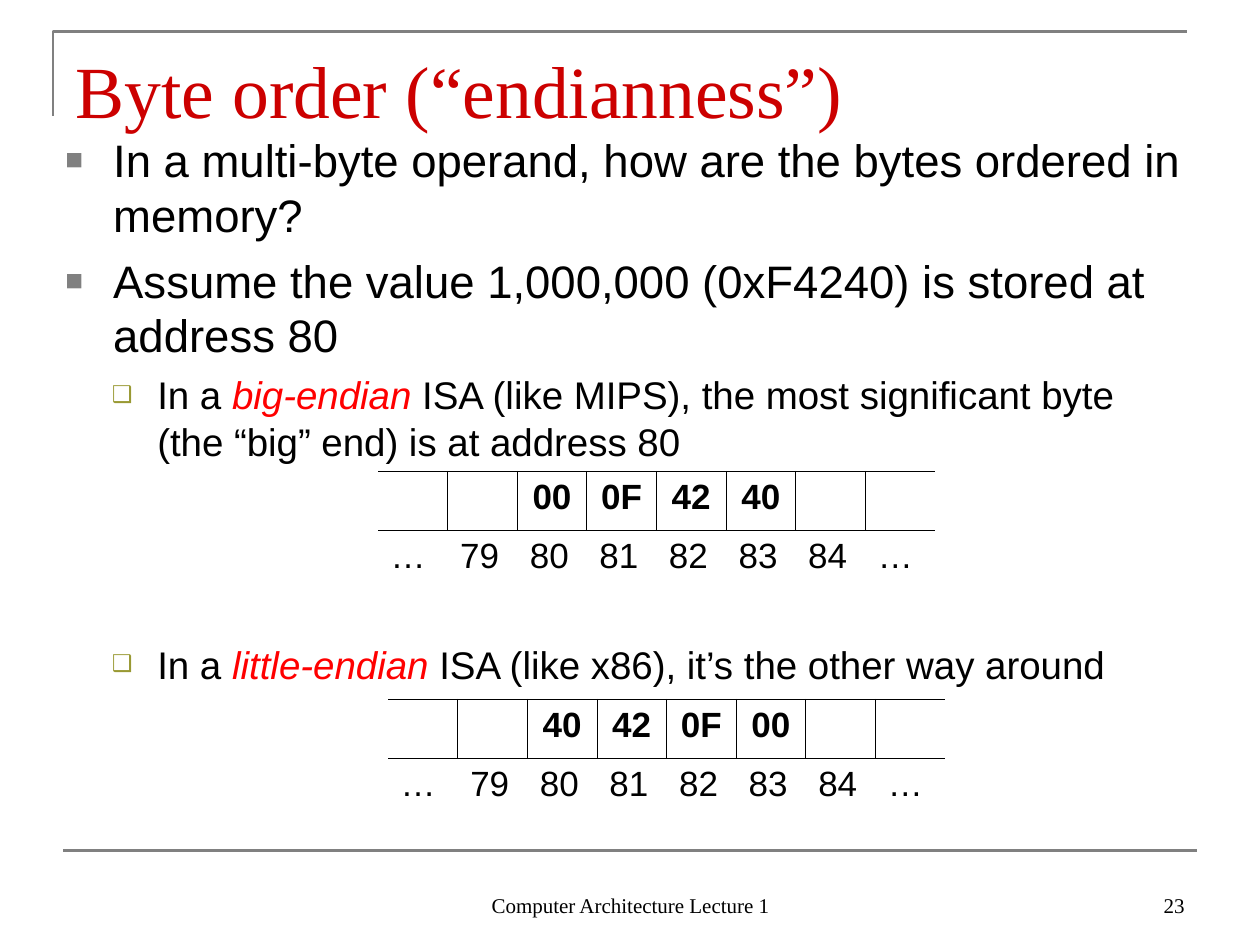
from lxml.etree import SubElement
from pptx import Presentation
from pptx.dml.color import RGBColor
from pptx.enum.shapes import MSO_CONNECTOR
from pptx.enum.text import MSO_ANCHOR, PP_ALIGN
from pptx.oxml import parse_xml
from pptx.oxml.ns import nsdecls, qn
from pptx.util import Inches, Pt

COLORS = {
    "text": "000000",
    "title": "CC0000",
    "emphasis": "FF0000",
    "rule": "808080",
    "sub_bullet": "999933",
}
SERIF, SANS = "Times New Roman", "Arial"
NO_STYLE_NO_GRID = "{2D5ABB26-0587-4C30-8999-92F81FD0307C}"
TABLE_WIDTH, ROW_HEIGHT = 4.42, 0.47
ADDRESSES = ["…", "79", "80", "81", "82", "83", "84", "…"]

# level: (text size, left margin, hanging indent, bullet, bullet colour, bullet %)
LEVELS = {
    0: (26, 0.38, 0.38, "■", "rule", 65),
    1: (22, 0.73, 0.36, "❑", "sub_bullet", 60),
}
# (level, points before, runs); every second run is emphasised
BODY = [
    (0, 0, ["In a multi-byte operand, how are the bytes ordered in memory?"]),
    (0, 6.5, ["Assume the value 1,000,000 (0xF4240) is stored at address 80"]),
    (1, 5.5, ["In a ", "big-endian", " ISA (like MIPS), the most significant byte "
              "(the “big” end) is at address 80"]),
    (1, 101, ["In a ", "little-endian", " ISA (like x86), it’s the other way around"]),
]


def color(name):
    return RGBColor.from_string(COLORS[name])


def style_font(font, size, name, color_name="text"):
    font.size = Pt(size)
    font.name = name
    font.color.rgb = color(color_name)


def style_rule(shape):
    shape.line.color.rgb = color("rule")
    shape.line.width = Pt(1.5)


def add_corner(slide):
    builder = slide.shapes.build_freeform(Inches(0.42), Inches(0.92))
    builder.add_line_segments(
        [(Inches(0.42), Inches(0.25)), (Inches(9.42), Inches(0.25))], close=False)
    shape = builder.convert_to_shape()
    shape.shadow.inherit = False
    shape.fill.background()
    style_rule(shape)


def add_footer_rule(slide):
    connector = slide.shapes.add_connector(
        MSO_CONNECTOR.STRAIGHT, Inches(0.5), Inches(6.75), Inches(9.5), Inches(6.75))
    style_rule(connector)
    SubElement(connector._element.spPr, qn("a:effectLst"))


def add_text_frame(slide, box, anchor):
    text_frame = slide.shapes.add_textbox(*map(Inches, box)).text_frame
    text_frame.word_wrap = True
    text_frame.vertical_anchor = anchor
    return text_frame


def add_line_of_text(slide, box, text, size, color_name="text", align=PP_ALIGN.LEFT):
    text_frame = add_text_frame(slide, box, MSO_ANCHOR.BOTTOM)
    text_frame.text = text
    paragraph = text_frame.paragraphs[0]
    paragraph.alignment = align
    style_font(paragraph.runs[0].font, size, SERIF, color_name)
    return text_frame


def set_bullet(paragraph, level):
    _, margin, hanging, symbol, color_name, percent = LEVELS[level]
    properties = paragraph._p.get_or_add_pPr()
    properties.set("marL", str(Inches(margin)))
    properties.set("indent", str(-Inches(hanging)))
    bullet_color = SubElement(properties, qn("a:buClr"))
    SubElement(bullet_color, qn("a:srgbClr"), val=COLORS[color_name])
    SubElement(properties, qn("a:buSzPct"), val=str(percent * 1000))
    SubElement(properties, qn("a:buFont"), typeface=SANS)
    SubElement(properties, qn("a:buChar"), char=symbol)


def add_body(slide):
    text_frame = add_text_frame(slide, (0.42, 1, 9.08, 5.7), MSO_ANCHOR.TOP)
    for index, (level, space_before, texts) in enumerate(BODY):
        paragraph = text_frame.add_paragraph() if index else text_frame.paragraphs[0]
        paragraph.level = level
        paragraph.space_before = Pt(space_before)
        set_bullet(paragraph, level)
        for position, text in enumerate(texts):
            emphasised = position % 2 == 1
            run = paragraph.add_run()
            run.text = text
            style_font(run.font, LEVELS[level][0], SANS,
                       "emphasis" if emphasised else "text")
            run.font.italic = emphasised


def set_borders(cell, sides):
    """Draw thin lines on the given sides (any of L, R, T, B)."""
    properties = cell._tc.get_or_add_tcPr()
    for index, side in enumerate(sides):
        properties.insert(index, parse_xml(
            f'<a:ln{side} {nsdecls("a")} w="{Pt(0.45)}"><a:solidFill>'
            f'<a:srgbClr val="{COLORS["text"]}"/></a:solidFill></a:ln{side}>'))


def fill_cell(cell, text, is_byte):
    cell.fill.background()
    if text:
        cell.text_frame.text = text
        paragraph = cell.text_frame.paragraphs[0]
        paragraph.alignment = PP_ALIGN.CENTER if is_byte else PP_ALIGN.LEFT
        style_font(paragraph.runs[0].font, 20, SANS)
        paragraph.runs[0].font.bold = is_byte


def add_memory_table(slide, left, top, stored_bytes):
    """Memory strip: bytes in ruled cells, with their addresses below."""
    rows = [["", "", *stored_bytes, "", ""], ADDRESSES]
    count = len(ADDRESSES)
    table = slide.shapes.add_table(
        len(rows), count, Inches(left), Inches(top),
        Inches(TABLE_WIDTH), Inches(ROW_HEIGHT * len(rows))).table
    table.first_row = table.horz_banding = False
    table._tbl.tblPr.find(qn("a:tableStyleId")).text = NO_STYLE_NO_GRID
    for row_index, row in enumerate(rows):
        for column_index, text in enumerate(row):
            cell = table.cell(row_index, column_index)
            is_byte = row_index == 0
            fill_cell(cell, text, is_byte)
            if is_byte:
                left_side = "L" if column_index > 0 else ""
                right_side = "R" if column_index < count - 1 else ""
                set_borders(cell, left_side + right_side + "TB")
            else:
                set_borders(cell, "T")


def main():
    presentation = Presentation()
    presentation.slide_width, presentation.slide_height = Inches(10), Inches(7.5)
    slide = presentation.slides.add_slide(presentation.slide_layouts[6])
    add_corner(slide)
    add_footer_rule(slide)
    add_line_of_text(slide, (3.42, 6.83, 3.17, 0.5),
                     "Computer Architecture Lecture 1", 12, align=PP_ALIGN.CENTER)
    add_line_of_text(slide, (7.17, 6.83, 2.33, 0.5), "23", 12, align=PP_ALIGN.RIGHT)
    title = add_line_of_text(slide, (0.5, 0.3, 9, 0.78),
                             "Byte order (“endianness”)", 42, "title")
    title.margin_bottom = Inches(0.02)
    add_body(slide)
    add_memory_table(slide, 3, 3.74, ["00", "0F", "42", "40"])
    add_memory_table(slide, 3.08, 5.55, ["40", "42", "0F", "00"])
    presentation.save("out.pptx")


if __name__ == "__main__":
    main()
